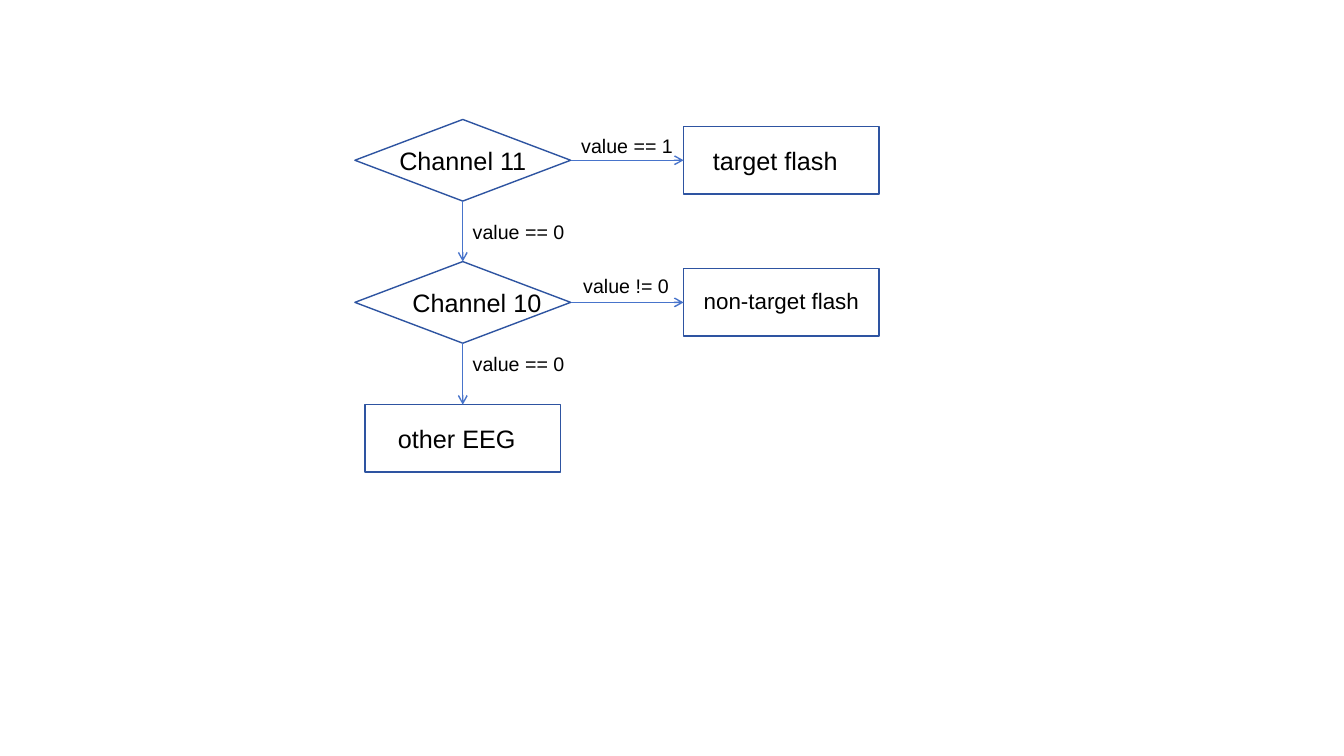
from lxml import etree
from pptx import Presentation
from pptx.dml.color import RGBColor
from pptx.enum.shapes import MSO_CONNECTOR as Connector, MSO_SHAPE as Shape
from pptx.enum.text import PP_ALIGN as Align
from pptx.oxml.ns import qn
from pptx.util import Pt

PX = 9144  # 100 px to the inch
PAGE_SIZE = (1333, 750)
OUTLINE, ARROW, INK = "2E54A1", "4874CB", "000000"
NODE_SIZES = {Shape.DIAMOND: (214, 81), Shape.RECTANGLE: (194, 67)}
COLUMNS = (459, 775)
ROWS = (159, 300, 435)
BOTTOM, RIGHT, TOP, LEFT = 2, 3, 0, 1  # connection sites

# text: shape, column, row, text shift, text box size, font size
NODES = {
    "Channel 11": (Shape.DIAMOND, 0, 0, (0, 0), (152, 40), 18),
    "target flash": (Shape.RECTANGLE, 1, 0, (-6, 0), (150, 40), 18),
    "Channel 10": (Shape.DIAMOND, 0, 1, (14, 0), (152, 40), 18),
    "non-target flash": (Shape.RECTANGLE, 1, 1, (0, -2), (193, 37), 16),
    "other EEG": (Shape.RECTANGLE, 0, 2, (-6, 0), (150, 40), 18),
}
# from, site, to, site, label, label left and top, alignment
LINKS = [
    ("Channel 11", RIGHT, "target flash", LEFT, "value == 1", (566, 128), Align.CENTER),
    ("Channel 11", BOTTOM, "Channel 10", TOP, "value == 0", (459, 213), Align.LEFT),
    ("Channel 10", RIGHT, "non-target flash", LEFT, "value != 0", (565, 267), Align.CENTER),
    ("Channel 10", BOTTOM, "other EEG", TOP, "value == 0", (459, 344), Align.LEFT),
]
LABEL_SIZE = (112, 34)


def emu(*lengths):
    return [round(length * PX) for length in lengths]


def color(value):
    return RGBColor.from_string(value)


def centered(x, y, size):
    return x - size[0] / 2, y - size[1] / 2, *size


def add_text(page, text, place, size=14, align=Align.CENTER):
    box = page.shapes.add_textbox(*emu(*place))
    box.text_frame.word_wrap = True
    para = box.text_frame.paragraphs[0]
    para.alignment = align
    span = para.add_run()
    span.text = text
    span.font.name, span.font.size = "Arial", Pt(size)
    span.font.color.rgb = color(INK)


def add_node(page, kind, x, y):
    node = page.shapes.add_shape(kind, *emu(*centered(x, y, NODE_SIZES[kind])))
    node.shadow.inherit = False
    node.fill.background()
    node.line.color.rgb = color(OUTLINE)
    node.line.width = Pt(1)
    return node


def add_arrow(page, start, start_site, end, end_site):
    arrow = page.shapes.add_connector(Connector.STRAIGHT, 0, 0, 0, 0)
    arrow.begin_connect(start, start_site)
    arrow.end_connect(end, end_site)
    arrow.line.color.rgb = color(ARROW)
    arrow.line.width = Pt(1)
    etree.SubElement(arrow.line._get_or_add_ln(), qn("a:tailEnd"), type="arrow")
    etree.SubElement(arrow._element.spPr, qn("a:effectLst"))


deck = Presentation()
deck.slide_width, deck.slide_height = emu(*PAGE_SIZE)
page = deck.slides.add_slide(deck.slide_layouts[6])

# Decisions and outcomes
nodes = {}
for text, (kind, column, row, (dx, dy), text_size, size) in NODES.items():
    x, y = COLUMNS[column], ROWS[row]
    nodes[text] = add_node(page, kind, x, y)
    add_text(page, text, centered(x + dx, y + dy, text_size), size=size)

# Arrows with their conditions
for start, start_site, end, end_site, label, corner, align in LINKS:
    add_arrow(page, nodes[start], start_site, nodes[end], end_site)
    add_text(page, label, (*corner, *LABEL_SIZE), align=align)

deck.save("out.pptx")
